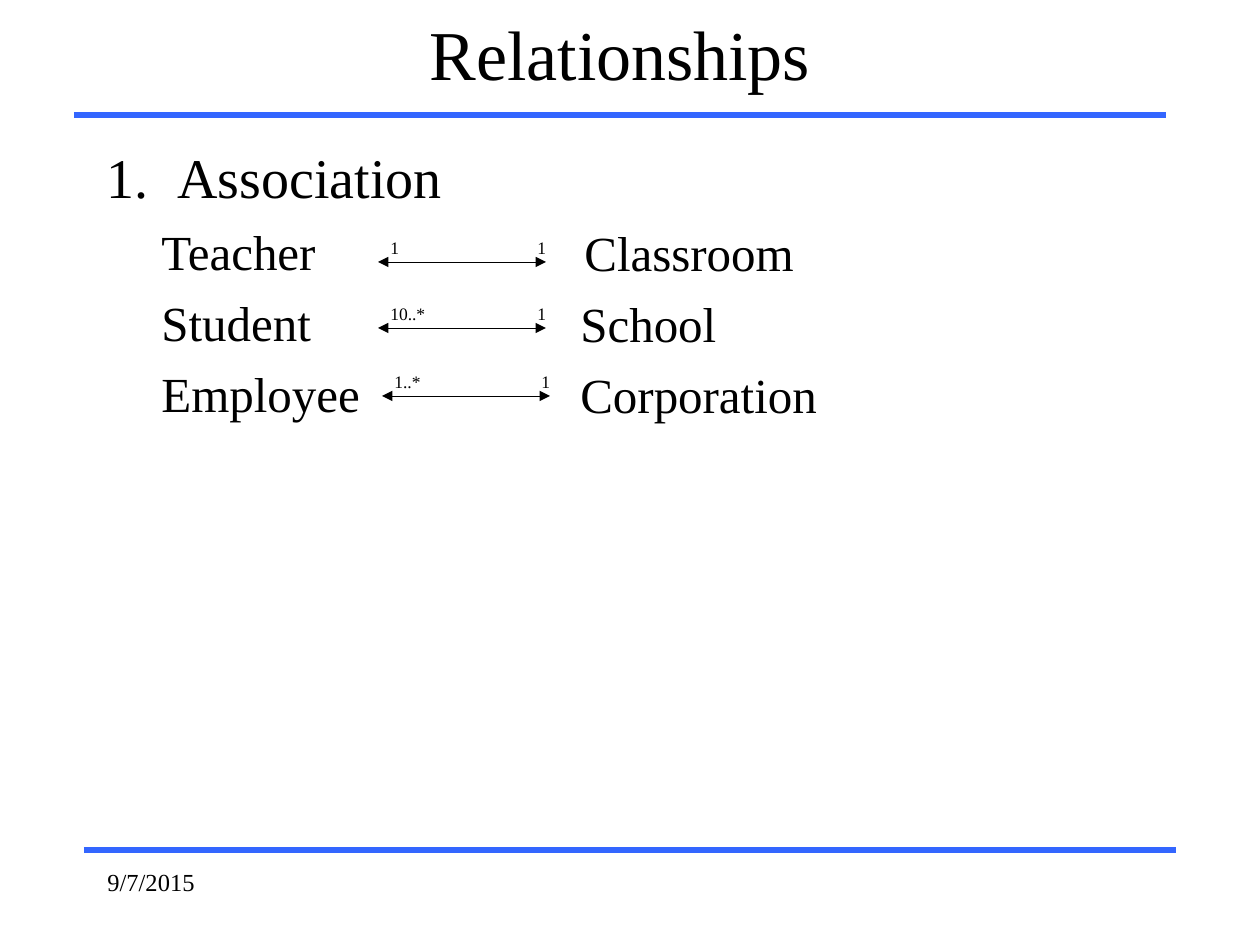
from lxml import etree
from pptx import Presentation
from pptx import util as u
from pptx.dml.color import RGBColor
from pptx.enum import shapes, text
from pptx.oxml.ns import qn

PX_PER_INCH = 126
FONT = "Times New Roman"
BLACK, BLUE = "000000", "3366FF"
RELATIONS = [
    ("Teacher", "Classroom", 4, "1", 42, "1", (378, 230)),
    ("Student", "School", 0, "10..*", 73, "1", (378, 296)),
    ("Employee", "Corporation", 0, "1..*", 63, "1", (382, 364)),
]


def px(n):
    """Turn px into EMU."""
    return u.Emu(round(n * 914400 / PX_PER_INCH))


def color(value):
    """Turn a hex string into a colour."""
    return RGBColor.from_string(value)


def add_run(p, content, size):
    """Add a run in the slide font."""
    r = p.add_run()
    r.text = content
    r.font.name = FONT
    r.font.size = u.Pt(size)
    r.font.color.rgb = color(BLACK)


def add_box(parent, box, anchor=text.MSO_ANCHOR.TOP):
    """Add an empty wrapping text box and return its text frame."""
    tf = parent.add_textbox(*map(px, box)).text_frame
    tf.word_wrap = True
    tf.vertical_anchor = anchor
    return tf


def add_line(parent, x, y, w, value, width, arrows=False):
    """Add a horizontal line, with arrowheads at both ends if asked."""
    c = parent.add_connector(shapes.MSO_CONNECTOR.STRAIGHT, px(x), px(y), px(x + w), px(y))
    c.line.color.rgb = color(value)
    c.line.width = u.Pt(width)
    if arrows:
        ln = c.line._get_or_add_ln()
        for end in ("a:headEnd", "a:tailEnd"):
            etree.SubElement(ln, qn(end), type="triangle")
    etree.SubElement(c._element.spPr, qn("a:effectLst"))


def set_indent(p, left, first):
    """Set the left margin and first-line indent and return the properties."""
    pPr = p._p.get_or_add_pPr()
    pPr.set("marL", str(px(left)))
    pPr.set("indent", str(px(first)))
    return pPr


def add_header(s, box):
    """Add the centred title with a rule below it."""
    x, y, w, h = box
    p = add_box(s.shapes, box, text.MSO_ANCHOR.MIDDLE).paragraphs[0]
    p.alignment = text.PP_ALIGN.CENTER
    add_run(p, "Relationships", 40)
    add_line(s.shapes, x, y + h + 10, w, BLUE, 3)


def add_sources(s, box):
    """Add the numbered heading with the source classes below it."""
    tf = add_box(s.shapes, box)
    p = tf.paragraphs[0]
    pPr = set_indent(p, 71, -71)
    etree.SubElement(pPr, qn("a:buFont"), typeface=FONT)
    etree.SubElement(pPr, qn("a:buAutoNum"), type="arabicPeriod")
    add_run(p, "Association", 32)
    for source, *_ in RELATIONS:
        p = tf.add_paragraph()
        p.level = 1
        p.space_before = u.Pt(7)
        etree.SubElement(set_indent(p, 55, 0), qn("a:buNone"))
        add_run(p, source, 28)


def add_targets(s, box):
    """Add the column of target classes."""
    tf = add_box(s.shapes, box)
    for i, (_, target, indent, *_) in enumerate(RELATIONS):
        p = tf.add_paragraph() if i else tf.paragraphs[0]
        p.space_before = u.Pt(7 if i else 0)
        set_indent(p, indent, 0)
        add_run(p, target, 28)


def add_association(s, box, start, start_width, end):
    """Add a grouped double arrow with a multiplicity at each end."""
    x, y, w, h = box
    group = s.shapes.add_group_shape().shapes
    add_line(group, x, y + h, w, BLACK, 0.5, arrows=True)
    for label, left, width in ((start, x, start_width), (end, x + w - 21, 42)):
        tf = add_box(group, (left, y, width, 34), text.MSO_ANCHOR.MIDDLE)
        add_run(tf.paragraphs[0], label, 10)


def add_footer(s, box):
    """Add the bottom rule and the date below it."""
    x, y, w, h = box
    add_line(s.shapes, x, y, w, BLUE, 3)
    tf = add_box(s.shapes, (x + 11, y + 11, 262, h - 11))
    add_run(tf.paragraphs[0], "9/7/2015", 14)


def main():
    """Build and save the slide."""
    prs = Presentation()
    prs.slide_width, prs.slide_height = px(1260), px(945)
    s = prs.slides.add_slide(prs.slide_layouts[6])
    add_header(s, (74, 0, 1092, 105))
    add_sources(s, (94, 136, 460, 703))
    add_targets(s, (568, 216, 598, 623))
    for *_, start, start_width, end, (x, y) in RELATIONS:
        add_association(s, (x, y, 168, 32), start, start_width, end)
    add_footer(s, (84, 850, 1092, 74))
    prs.save("out.pptx")


if __name__ == "__main__":
    main()
